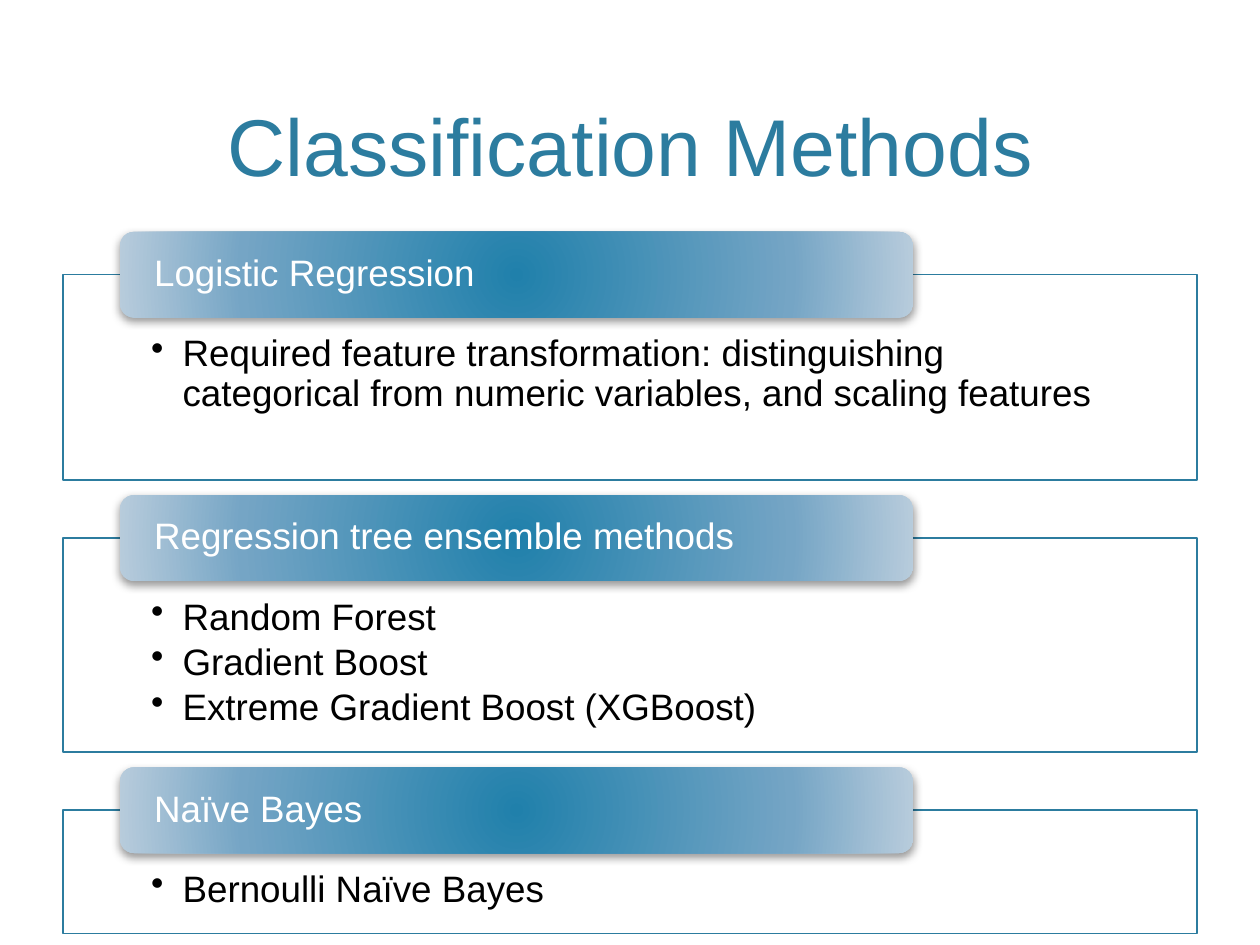
import pptx
import pptx.util
import pptx.dml.color
import pptx.enum.shapes
import pptx.enum.text
import pptx.oxml
import pptx.oxml.ns

NS = pptx.oxml.ns.nsdecls("a")
SHAPE = pptx.enum.shapes.MSO_SHAPE
ALIGN = pptx.enum.text.PP_ALIGN
ANCHOR = pptx.enum.text.MSO_ANCHOR


def rgb(value):
    return pptx.dml.color.RGBColor.from_string(value)


def put(obj, values):
    for name, value in values.items():
        setattr(obj, name, value)


prs = pptx.Presentation()
put(prs, {"slide_width": pptx.util.Inches(10), "slide_height": pptx.util.Inches(7.5)})
col, row = prs.slide_width / 100, prs.slide_height / 75
s = prs.slides.add_slide(prs.slide_layouts[5])

sp = s.shapes.title
put(sp, {"left": int(6 * col), "top": int(1.2 * row),
         "width": int(88 * col), "height": int(14.6 * row)})
tf = sp.text_frame
tf.text = "Classification Methods"
put(tf, {"vertical_anchor": ANCHOR.BOTTOM, "word_wrap": True,
         "auto_size": pptx.enum.text.MSO_AUTO_SIZE.NONE})
p = tf.paragraphs[0]
p.alignment = ALIGN.CENTER
put(p.runs[0].font, {"name": "Arial", "size": pptx.util.Pt(46)})
p.runs[0].font.color.rgb = rgb("2C7C9F")

sections = [
    ("Logistic Regression", 16.3,
     ["Required feature transformation: distinguishing categorical from "
      "numeric variables, and scaling features"]),
    ("Regression tree ensemble methods", 17,
     ["Random Forest", "Gradient Boost", "Extreme Gradient Boost (XGBoost)"]),
    ("Naïve Bayes", 9.8, ["Bernoulli Naïve Bayes"]),
]
stops = "".join(
    f'<a:gs pos="{pos}000"><a:srgbClr val="{color}"/></a:gs>'
    for pos, color in [(0, "2080AB"), (69, "75A5C5"), (100, "B8CCDC")])
gradient = (f'<a:gradFill {NS} rotWithShape="1"><a:gsLst>{stops}</a:gsLst>'
            '<a:path path="circle"><a:fillToRect l="100000" t="100000" '
            'r="100000" b="100000"/></a:path></a:gradFill>')
shadow = (f'<a:effectLst {NS}><a:outerShdw blurRad="63500" dist="25400" dir="5400000" '
          'rotWithShape="0"><a:srgbClr val="000000"><a:alpha val="40000"/>'
          '</a:srgbClr></a:outerShdw></a:effectLst>')

top, lift, gap = 18.4, 3.4, 1.2
for heading, height, items in sections:
    box = s.shapes.add_shape(SHAPE.RECTANGLE, int(5 * col), int((top + lift) * row),
                             int(90 * col), int(height * row))
    box.shadow.inherit = False
    box.fill.solid()
    box.fill.fore_color.rgb = rgb("FFFFFF")
    white = box.fill._xPr.find(".//" + pptx.oxml.ns.qn("a:srgbClr"))
    white.append(pptx.oxml.parse_xml(f'<a:alpha {NS} val="90000"/>'))
    box.line.color.rgb = rgb("2C7C9F")
    box.line.width = pptx.util.Pt(1)

    pill = s.shapes.add_shape(SHAPE.ROUNDED_RECTANGLE, int(9.5 * col), int(top * row),
                              int(63 * col), int(6.8 * row))
    spPr = pill._element.spPr
    spPr.append(pptx.oxml.parse_xml(gradient))
    pill.line.fill.background()
    spPr.append(pptx.oxml.parse_xml(shadow))

    for sp, lines, color, anchor, side, above, below, after in [
            (box, items, "000000", ANCHOR.TOP, 7, 4.8, 1.6, 15),
            (pill, [heading], "FFFFFF", ANCHOR.MIDDLE, 2.4, 0, 0, 35)]:
        tf = sp.text_frame
        put(tf, {"word_wrap": True, "vertical_anchor": anchor,
                 "margin_left": int(side * col), "margin_right": int(side * col),
                 "margin_top": int(above * row), "margin_bottom": int(below * row)})
        tf.text = "\n".join(lines)
        for p in tf.paragraphs:
            put(p, {"alignment": ALIGN.LEFT, "line_spacing": 0.9})
            pPr = p._p.get_or_add_pPr()
            pPr.append(pptx.oxml.parse_xml(
                f'<a:spcAft {NS}><a:spcPct val="{after}000"/></a:spcAft>'))
            if sp is box:
                p.level = 1
                pPr.set("marL", str(int(2.5 * col)))
                pPr.set("indent", str(int(-2.5 * col)))
                pPr.append(pptx.oxml.parse_xml(f'<a:buChar {NS} char="•"/>'))
            r = p.runs[0]
            put(r.font, {"name": "Arial", "size": pptx.util.Pt(21)})
            r.font.color.rgb = rgb(color)
    top += lift + height + gap

prs.save("out.pptx")
